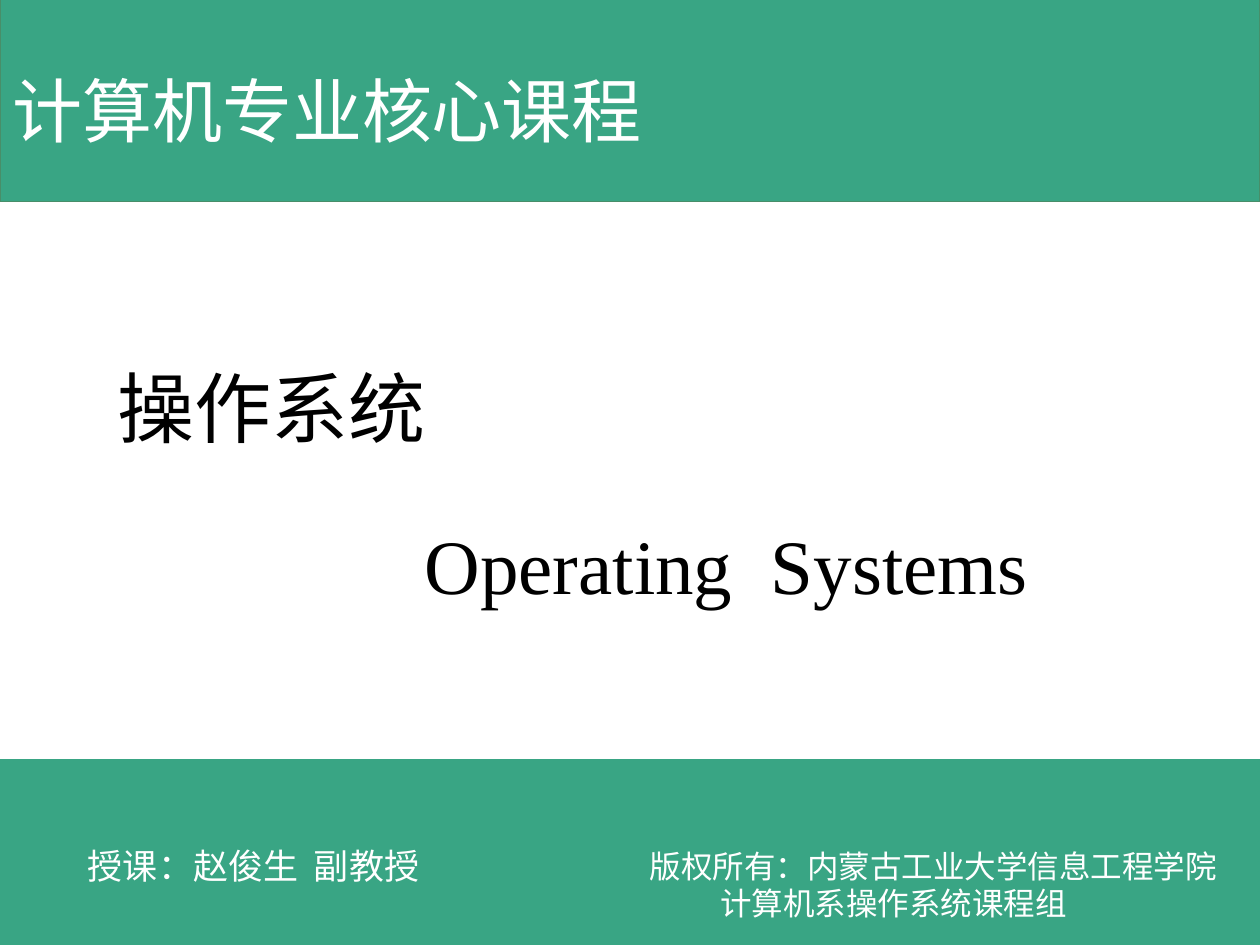
from lxml import etree
from pptx import Presentation
from pptx import util as u
from pptx.dml.color import RGBColor
from pptx.enum import shapes, text
from pptx.oxml.ns import qn

COLORS = {"band": "39A584", "band_edge": "488E69", "ink": "000000", "light": "FFFFFF"}
CJK_FONT = "Noto Sans CJK SC"


def color(name):
    return RGBColor.from_string(COLORS[name])


def write_text(shape, lines, *, size, font="Arial", ink="ink", wrap=True, indents=()):
    """Fill a shape with one paragraph per line; indents are left margins in inches."""
    frame = shape.text_frame
    frame.text = "\n".join(lines)
    frame.word_wrap = wrap
    frame.auto_size = text.MSO_AUTO_SIZE.NONE
    frame.vertical_anchor = text.MSO_ANCHOR.TOP
    for paragraph in frame.paragraphs:
        paragraph.alignment = text.PP_ALIGN.LEFT
        paragraph.space_before = u.Pt(0)
        for run in paragraph.runs:
            run.font.size = u.Pt(size)
            run.font.name = font
            run.font.color.rgb = color(ink)
            east_asian = etree.SubElement(run.font._element, qn("a:ea"))
            east_asian.set("typeface", CJK_FONT)
    for paragraph, indent in zip(frame.paragraphs, indents):
        paragraph._p.get_or_add_pPr().set("marL", str(u.Inches(indent)))


class CoverSlide:
    def __init__(self, presentation):
        self.slide = presentation.slides.add_slide(presentation.slide_layouts[0])

    def placeholder(self, index, box, lines, **style):
        shape = self.slide.placeholders[index]
        shape.left, shape.top, shape.width, shape.height = map(u.Inches, box)
        write_text(shape, lines, **style)

    def band(self, top, height, edge):
        shape = self.slide.shapes.add_shape(
            shapes.MSO_SHAPE.RECTANGLE, 0, u.Inches(top), u.Inches(10), u.Inches(height))
        shape.shadow.inherit = False
        shape.fill.solid()
        shape.fill.fore_color.rgb = color("band")
        shape.line.color.rgb = color(edge)
        shape.line.width = u.Pt(0.75)

    def label(self, box, lines, **style):
        shape = self.slide.shapes.add_textbox(*map(u.Inches, box))
        write_text(shape, lines, ink="light", **style)


def main():
    presentation = Presentation()
    presentation.slide_width = u.Inches(10)
    presentation.slide_height = u.Inches(7.5)

    cover = CoverSlide(presentation)
    cover.placeholder(0, (0.83, 2.81, 2.68, 0.84), ["操作系统"], size=44)
    cover.placeholder(1, (3.27, 4.06, 5.28, 0.84), ["Operating  Systems"],
                      size=44, font="Times New Roman")
    cover.band(-0.03, 1.63, edge="band_edge")
    cover.band(6.03, 1.47, edge="band")
    cover.label((0, 0.49, 5.19, 0.77), ["计算机专业核心课程"], size=40, wrap=False)
    cover.label((0.6, 6.65, 2.83, 0.44), ["授课：赵俊生  副教授"], size=20, wrap=False)
    cover.label((5.06, 6.67, 4.94, 0.7),
                ["版权所有：内蒙古工业大学信息工程学院", "计算机系操作系统课程组"],
                size=18, font=CJK_FONT, indents=(0, 0.56))

    presentation.save("out.pptx")


if __name__ == "__main__":
    main()
